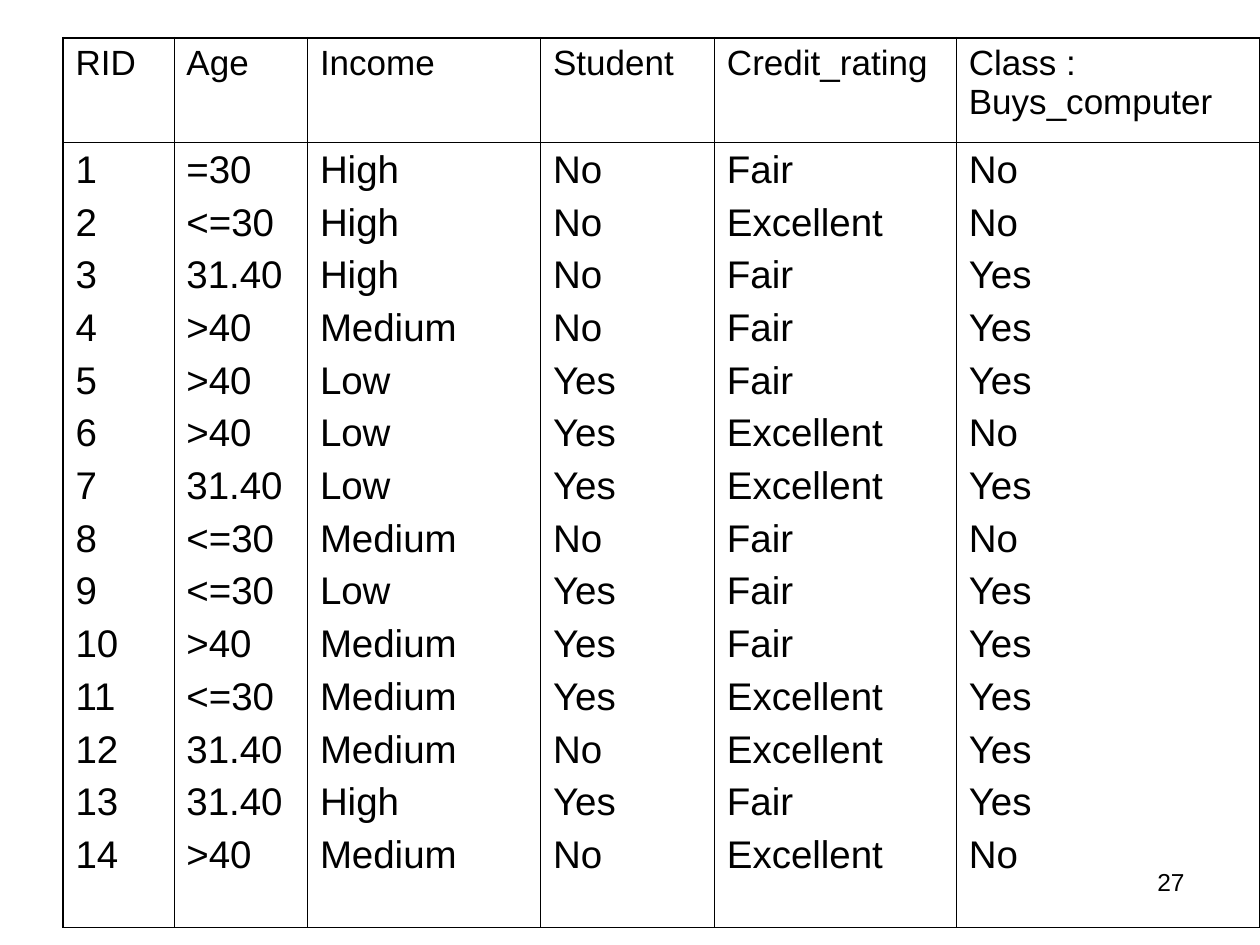
from dataclasses import dataclass

from lxml.etree import SubElement
from pptx import Presentation
from pptx.dml.color import RGBColor
from pptx.enum.text import PP_ALIGN
from pptx.oxml.ns import qn
from pptx.util import Inches, Pt

FONT = "Arial"
BLACK = "000000"
THICK, THIN = 1.08, 0.45
LEFT, TOP = 0.5, 0.3
ROW_HEIGHTS = (0.83, 6.23)
HEADER_SIZE, BODY_SIZE, NUMBER_SIZE = 20, 22, 14


@dataclass(frozen=True)
class Column:
    heading: str
    width: float
    values: str


COLUMNS = [
    Column("RID", 0.88, "1 2 3 4 5 6 7 8 9 10 11 12 13 14"),
    Column("Age", 1.06, "=30 <=30 31.40 >40 >40 >40 31.40 "
                        "<=30 <=30 >40 <=30 31.40 31.40 >40"),
    Column("Income", 1.85, "High High High Medium Low Low Low "
                           "Medium Low Medium Medium Medium High Medium"),
    Column("Student", 1.38, "No No No No Yes Yes Yes No Yes Yes Yes No Yes No"),
    Column("Credit_rating", 1.92, "Fair Excellent Fair Fair Fair Excellent Excellent "
                                  "Fair Fair Fair Excellent Excellent Fair Excellent"),
    Column("Class : Buys_computer", 2.41,
           "No No Yes Yes Yes No Yes No Yes Yes Yes Yes Yes No"),
]


def rgb(color: str) -> RGBColor:
    return RGBColor.from_string(color)


def format_text(tf, size: float, space_before: float = 0, align=PP_ALIGN.LEFT) -> None:
    for p in tf.paragraphs:
        p.alignment = align
        p.space_before = Pt(space_before)
        for r in p.runs:
            r.font.name = FONT
            r.font.size = Pt(size)
            r.font.color.rgb = rgb(BLACK)


def add_borders(cell, left: float, right: float, top: float, bottom: float) -> None:
    tcPr = cell._tc.get_or_add_tcPr()
    for side, width in (("L", left), ("R", right), ("T", top), ("B", bottom)):
        ln = SubElement(tcPr, qn(f"a:ln{side}"), w=str(Pt(width)))
        fill = SubElement(ln, qn("a:solidFill"))
        SubElement(fill, qn("a:srgbClr"), val=BLACK)


def add_page_number(s, number: int) -> None:
    box = s.shapes.add_textbox(Inches(7.17), Inches(6.83), Inches(2.33), Inches(0.52))
    tf = box.text_frame
    tf.word_wrap = True
    tf.text = str(number)
    format_text(tf, NUMBER_SIZE, align=PP_ALIGN.RIGHT)


def add_data_table(s, columns: list[Column]) -> None:
    width = sum(column.width for column in columns)
    table = s.shapes.add_table(
        len(ROW_HEIGHTS), len(columns), Inches(LEFT), Inches(TOP),
        Inches(width), Inches(sum(ROW_HEIGHTS))).table
    table.first_row = table.horz_banding = False
    for row, height in zip(table.rows, ROW_HEIGHTS):
        row.height = Inches(height)

    last = len(columns) - 1
    for i, column in enumerate(columns):
        table.columns[i].width = Inches(column.width)
        texts = (column.heading, "\n".join(column.values.split()))
        for row, (text, size) in enumerate(zip(texts, (HEADER_SIZE, BODY_SIZE))):
            cell = table.cell(row, i)
            cell.text_frame.text = text
            format_text(cell.text_frame, size, space_before=size / 4)
            add_borders(cell, THICK if i == 0 else THIN,
                        THICK if i == last else THIN, THICK, THICK)
            cell.fill.background()


def main() -> None:
    prs = Presentation()
    prs.slide_width, prs.slide_height = Inches(10), Inches(7.5)
    s = prs.slides.add_slide(prs.slide_layouts[6])
    add_page_number(s, 27)
    add_data_table(s, COLUMNS)
    prs.save("out.pptx")


if __name__ == "__main__":
    main()
